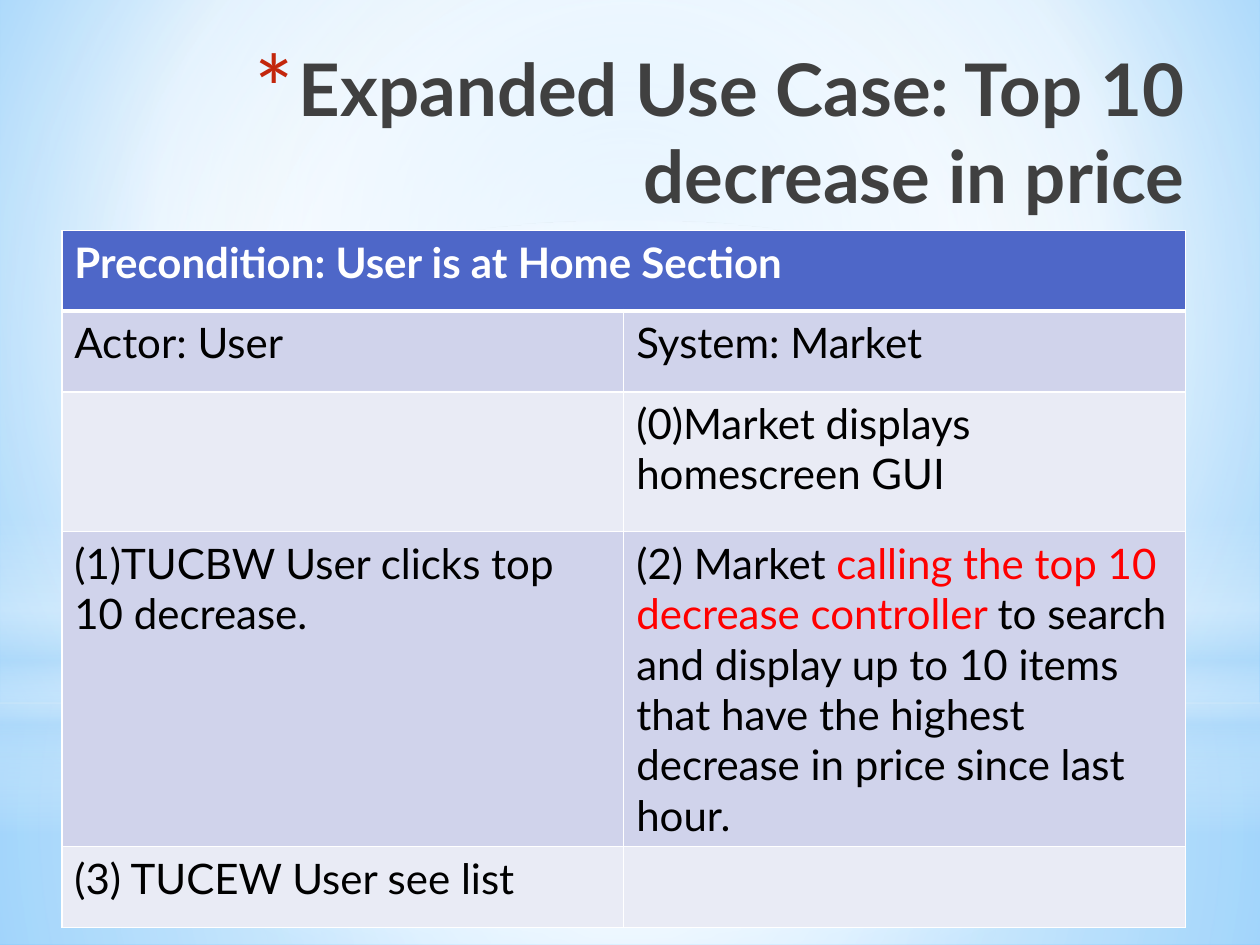
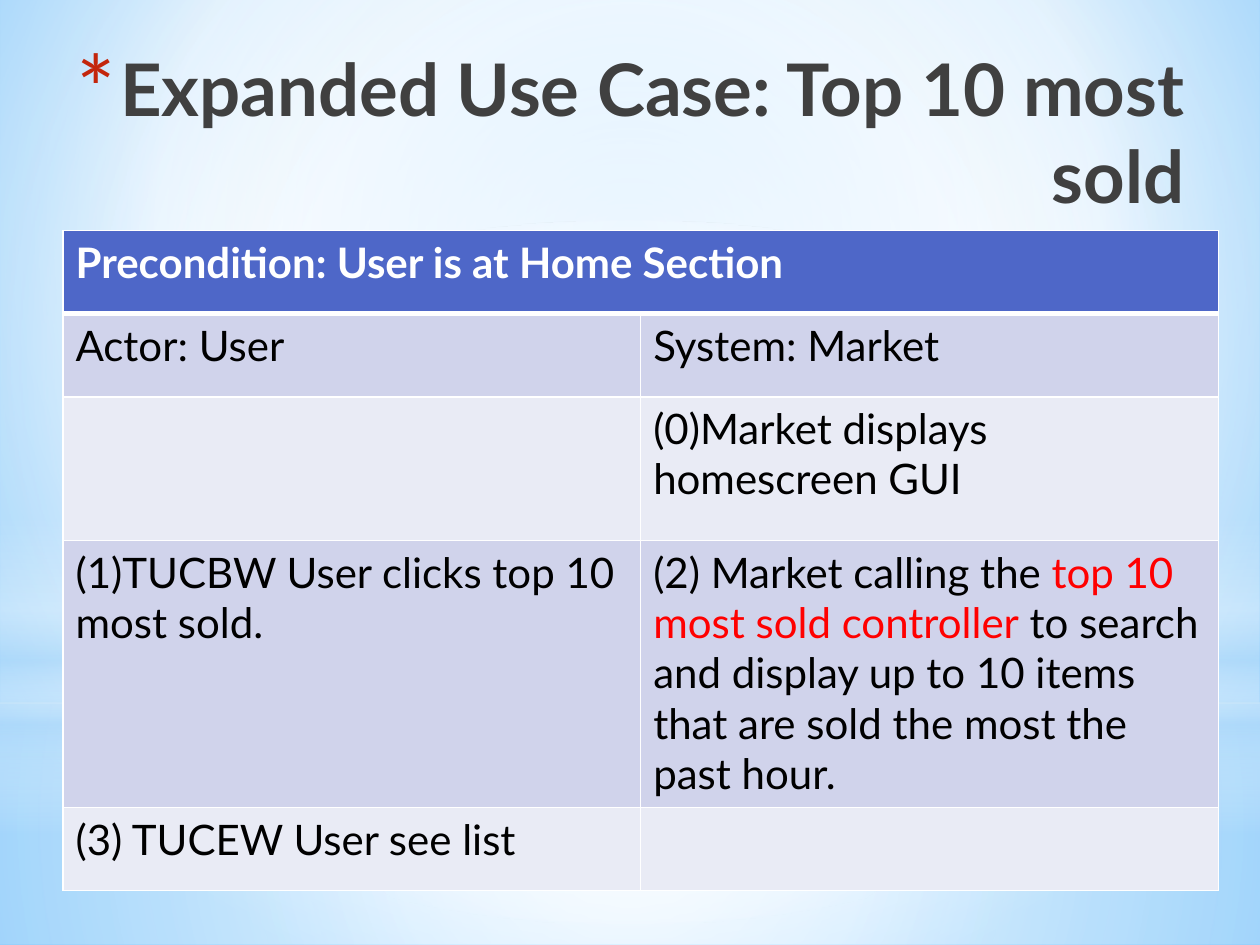
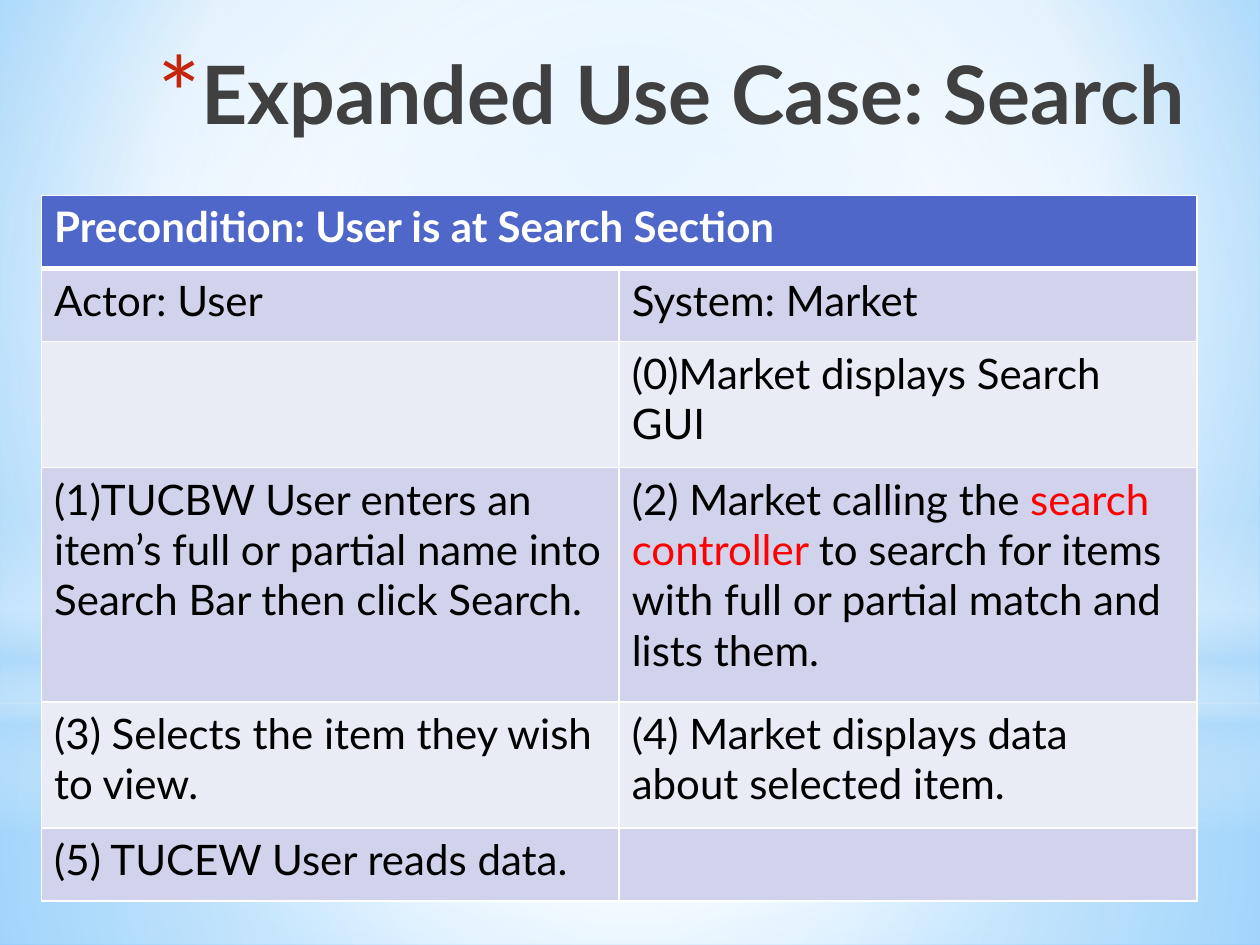
import pptx
import pptx.util
import pptx.dml.color
import pptx.enum.shapes
import pptx.enum.text
import pptx.oxml
import pptx.oxml.ns
from lxml import etree

Inches = pptx.util.Inches
Pt = pptx.util.Pt
RGBColor = pptx.dml.color.RGBColor
MSO_SHAPE = pptx.enum.shapes.MSO_SHAPE
qn = pptx.oxml.ns.qn

FONT = "Lato"
WHITE = RGBColor(0xFF, 0xFF, 0xFF)
BLACK = RGBColor(0x00, 0x00, 0x00)
RED = RGBColor(0xFF, 0x00, 0x00)
BULLET_RED = RGBColor(0xC3, 0x26, 0x0C)
DARK_GREY = RGBColor(0x40, 0x40, 0x40)
NAVY = RGBColor(0x21, 0x27, 0x45)
SKY = RGBColor(0x9E, 0xD5, 0xFF)
DEEP_SKY = RGBColor(0x5B, 0xB9, 0xFF)
HAZE = RGBColor(0xB4, 0xDC, 0xFA)
HEADER_BLUE = RGBColor(0x4E, 0x67, 0xC8)
BANDS = (RGBColor(0xE9, 0xEB, 0xF5), RGBColor(0xD0, 0xD3, 0xEB))

CENTER = (50, 50, 50, 50)
BACKGROUND_STOPS = [(0, SKY, 100), (60, WHITE, 100), (100, DEEP_SKY, 100)]
TITLE_STOPS = [(0, BLACK, 100), (40, DARK_GREY, 100), (100, NAVY, 65)]
BACKDROP = [
    (MSO_SHAPE.RECTANGLE, 5.58, 1.92, CENTER,
     [(0, WHITE, 91), (37, WHITE, 76), (100, HAZE, 79)]),
    (MSO_SHAPE.RECTANGLE, 0, 5.58, CENTER,
     [(0, WHITE, 89), (48, WHITE, 62), (100, HAZE, 79)]),
    (MSO_SHAPE.RECTANGLE, 4.12, 2.5, None,
     [(0, WHITE, 0), (29, WHITE, 30), (45, HAZE, 40),
      (55, WHITE, 26), (65, HAZE, 60), (100, WHITE, 0)]),
    (MSO_SHAPE.OVAL, 1.75, 5.58, CENTER, [(0, WHITE, 100), (56, WHITE, 0)]),
]

HOME = "Precondition: User is at Home Section"
ROLES = ("Actor: User", "System: Market")
HOME_SHOWN = ("", "(0)Market displays homescreen GUI")
SEE_LIST = ("(3) TUCEW User see list", "")
USE_CASES = [
    ("Expanded Use Case: Top 10 decrease in price", 41.4,
     (0.49, 1.83, 8.92), (0.64, 0.64, 1.11, 2.05, 0.64), HOME,
     [ROLES, HOME_SHOWN,
      ("(1)TUCBW User clicks top 10 decrease.",
       ("(2) Market ", "calling the top 10 decrease controller ",
        "to search and display up to 10 items that have the highest "
        "decrease in price since last hour.")),
      SEE_LIST]),
    ("Expanded Use Case: Top 10 most sold", 41.4,
     (0.5, 1.83, 9.17), (0.66, 0.66, 1.14, 2.12, 0.66), HOME,
     [ROLES, HOME_SHOWN,
      ("(1)TUCBW User clicks top 10 most sold.",
       ("(2) Market calling the ", "top 10 most sold controller",
        " to search and display up to 10 items that are sold the most "
        "the past hour.")),
      SEE_LIST]),
    ("Expanded Use Case: Search", 46,
     (0.33, 1.55, 9.17), (0.58, 0.58, 1, 1.86, 1, 0.58),
     "Precondition: User is at Search Section",
     [ROLES, ("", "(0)Market displays Search GUI"),
      ("(1)TUCBW User enters an item’s full or partial name into "
       "Search Bar then click Search.",
       ("(2) Market calling the ", "search controller ",
        "to search for items with full or partial match and lists them.")),
      ("(3) Selects the item they wish to view.",
       "(4) Market displays data about selected item."),
      ("(5) TUCEW User reads data.", "")]),
]


def add_xml(parent, tag, **attrs):
    """Append a child element with the given attributes and return it."""
    child = etree.SubElement(parent, qn(tag))
    for name, value in attrs.items():
        child.set(name, str(value))
    return child


def set_gradient(fill, element, stops, focus=None):
    """Give a fill a circular gradient around focus, or a vertical one."""
    fill.gradient()
    grad = next(element.iter(qn("a:gradFill")))
    for child in list(grad):
        grad.remove(child)
    gs_list = add_xml(grad, "a:gsLst")
    for pos, color, alpha in stops:
        gs = add_xml(gs_list, "a:gs", pos=pos * 1000)
        clr = add_xml(gs, "a:srgbClr", val=color)
        if alpha < 100:
            add_xml(clr, "a:alpha", val=alpha * 1000)
    if focus:
        path = add_xml(grad, "a:path", path="circle")
        sides = {side: v * 1000 for side, v in zip("ltrb", focus)}
        add_xml(path, "a:fillToRect", **sides)
    else:
        add_xml(grad, "a:lin", ang=90 * 60000, scaled=0)


def add_backdrop(master, slide, width):
    """Place the sky background and its light bands on the master."""
    set_gradient(master.background.fill, master.element,
                 BACKGROUND_STOPS, (20, 10, 20, 60))
    tree = master.shapes.element
    for i, (kind, top, height, focus, stops) in enumerate(BACKDROP):
        sp = slide.shapes.add_shape(kind, 0, Inches(top), width, Inches(height))
        sp.shadow.inherit = False
        sp.line.fill.background()
        set_gradient(sp.fill, sp.element, stops, focus)
        sp.element.nvSpPr.cNvPr.set("id", str(100 + i))
        tree.insert(2 + i, sp.element)


def add_title(slide, text, size):
    """Fill the title placeholder with a right-aligned starred heading."""
    sp = slide.shapes.title
    sp.left, sp.top = Inches(0.5), Inches(0.3)
    sp.width, sp.height = Inches(9), Inches(1.25)
    tf = sp.text_frame
    tf.word_wrap = True
    tf.auto_size = pptx.enum.text.MSO_AUTO_SIZE.NONE
    tf.vertical_anchor = pptx.enum.text.MSO_ANCHOR.TOP
    p = tf.paragraphs[0]
    p.alignment = pptx.enum.text.PP_ALIGN.RIGHT
    pPr = p._p.get_or_add_pPr()
    pPr.set("marL", str(Inches(0.35)))
    pPr.set("indent", str(Inches(-0.35)))
    add_xml(add_xml(pPr, "a:buClr"), "a:srgbClr", val=BULLET_RED)
    add_xml(pPr, "a:buSzPct", val=128000)
    add_xml(pPr, "a:buFont", typeface=FONT)
    add_xml(pPr, "a:buChar", char="*")
    r = p.add_run()
    r.text = text
    r.font.name, r.font.size, r.font.bold = FONT, Pt(size), True
    set_gradient(r.font.fill, r._r, TITLE_STOPS)


def style_cell(cell, fill, top, bottom):
    """Draw a cell's white borders and set its fill."""
    tcPr = cell._tc.get_or_add_tcPr()
    for side, width in (("L", 1), ("R", 1), ("T", top), ("B", bottom)):
        ln = add_xml(tcPr, "a:ln" + side, w=Pt(width))
        add_xml(add_xml(ln, "a:solidFill"), "a:srgbClr", val=WHITE)
    cell.fill.solid()
    cell.fill.fore_color.rgb = fill


def write_cell(cell, content, color, bold=False):
    """Write plain text, or three runs with the middle one in red."""
    parts = (content,) if isinstance(content, str) else content
    p = cell.text_frame.paragraphs[0]
    for i, text in enumerate(parts):
        if text:
            r = p.add_run()
            r.text = text
            r.font.name, r.font.size, r.font.bold = FONT, Pt(24), bold
            r.font.color.rgb = RED if i == 1 else color


def add_use_case_table(slide, box, heights, precondition, steps):
    """Add the two-column actor and system table under its header."""
    left, top, width = map(Inches, box)
    table = slide.shapes.add_table(len(heights), 2, left, top, width,
                                   Inches(sum(heights))).table
    for row, height in zip(table.rows, heights):
        row.height = Inches(height)
    for i, pair in enumerate([(precondition, "")] + steps):
        header = i == 0
        for cell, content in zip(table.rows[i].cells, pair):
            style_cell(cell, HEADER_BLUE if header else BANDS[i % 2],
                       3 if i == 1 else 1, 3 if header else 1)
            write_cell(cell, content, WHITE if header else BLACK, header)
    table.cell(0, 0).merge(table.cell(0, 1))


def add_use_case_slide(prs, title, size, box, heights, precondition, steps):
    """Add one slide with its heading and use case table."""
    slide = prs.slides.add_slide(prs.slide_layouts.get_by_name("Title Only"))
    add_title(slide, title, size)
    add_use_case_table(slide, box, heights, precondition, steps)


def main():
    """Build and save the deck."""
    prs = pptx.Presentation()
    prs.slide_width, prs.slide_height = Inches(10), Inches(7.5)
    for use_case in USE_CASES:
        add_use_case_slide(prs, *use_case)
    add_backdrop(prs.slide_master, prs.slides[0], prs.slide_width)
    prs.save("out.pptx")


if __name__ == "__main__":
    main()
